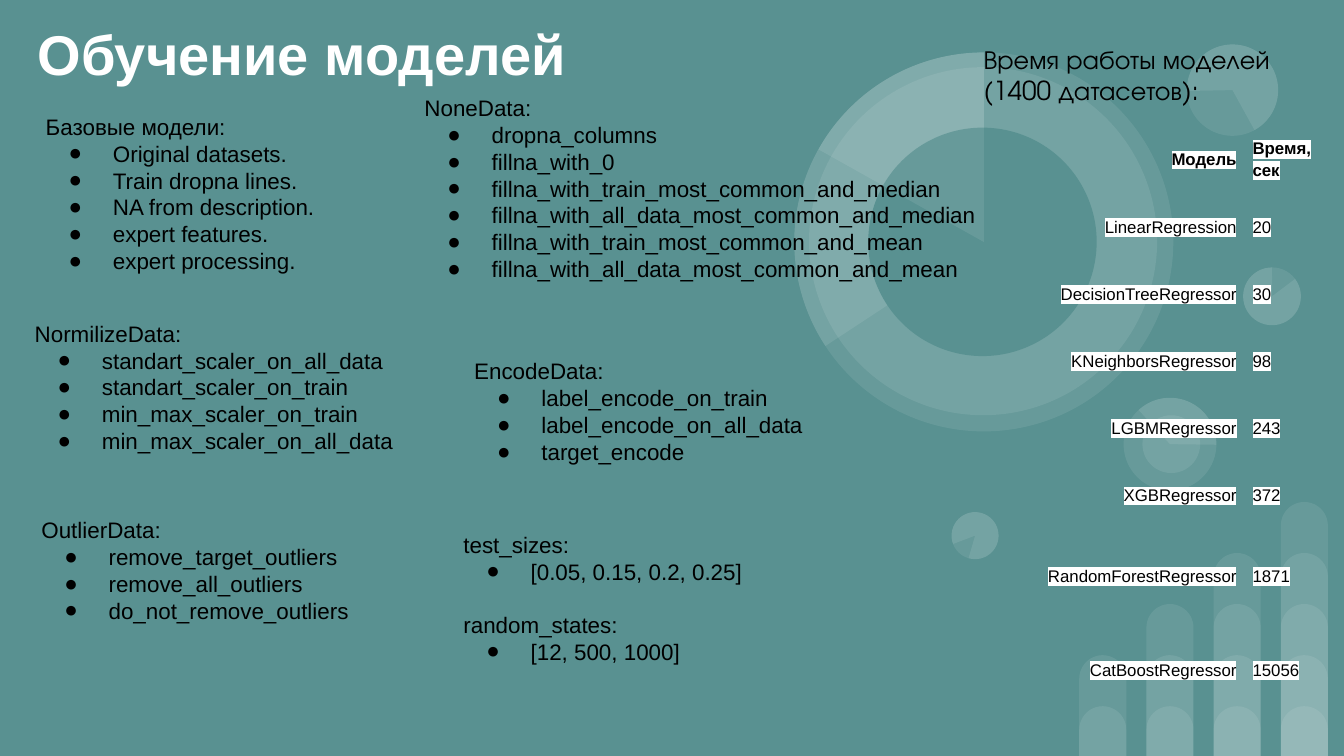
from lxml import etree
from pptx import Presentation
from pptx.dml.color import RGBColor
from pptx.enum.shapes import MSO_SHAPE
from pptx.enum.text import MSO_ANCHOR, MSO_AUTO_SIZE, PP_ALIGN
from pptx.oxml.ns import qn
from pptx.util import Inches, Pt

BAR, OVAL, PIE = MSO_SHAPE.ROUND_2_SAME_RECTANGLE, MSO_SHAPE.OVAL, MSO_SHAPE.PIE
LEFT, RIGHT = PP_ALIGN.LEFT, PP_ALIGN.RIGHT
TOP, MIDDLE = MSO_ANCHOR.TOP, MSO_ANCHOR.MIDDLE
FIXED = MSO_AUTO_SIZE.NONE
NO_STYLE = "{2D5ABB26-0587-4C30-8999-92F81FD0307C}"
TEAL, WHITE, BLACK = "599191", "FFFFFF", "000000"
WIDTH = 10
HEIGHT = WIDTH * 9 / 16


def color(value):
    return RGBColor.from_string(value)


def add_xml(parent, tag, **attributes):
    return etree.SubElement(parent, qn(tag), attributes)


def apply(target, values):
    for name, value in values.items():
        setattr(target, name, value)


class SlideBuilder:
    body = {"size": Pt(12), "bold": False, "name": "Arial"}
    heading = {"size": Pt(30), "bold": True, "name": "Arial"}
    caption = {"size": Pt(14), "bold": False, "name": "TeX Gyre Adventor"}
    cell = {"size": Pt(9), "bold": False, "name": "Arial"}
    flush = {"alignment": LEFT, "space_before": Pt(0), "space_after": Pt(0)}

    def __init__(self, slide):
        self.slide = slide
        slide.background.fill.solid()
        slide.background.fill.fore_color.rgb = color(TEAL)

    def place(self, shape, left, top, width, height):
        apply(shape, {"left": Inches(left), "top": Inches(top),
                      "width": Inches(width), "height": Inches(height)})

    def decoration(self, kind, left, top, width, height, rotation=0,
                   angles=(), fill=WHITE):
        shape = self.slide.shapes.add_shape(
            kind, Inches(left), Inches(top), Inches(width), Inches(height))
        shape.shadow.inherit = False
        shape.line.fill.background()
        shape.rotation = rotation
        for index, angle in enumerate(angles):
            shape.adjustments[index] = angle
        shape.fill.solid()
        shape.fill.fore_color.rgb = color(fill)
        if fill == WHITE:
            tint = shape.fill._xPr.find(qn("a:solidFill"))[0]
            add_xml(tint, "a:alpha", val="9000")

    def span(self, para, text, font, ink=BLACK, highlight=None):
        span = para.add_run()
        span.text = text
        span.font.color.rgb = color(ink)
        if highlight:
            mark = add_xml(span.font._element, "a:highlight")
            add_xml(mark, "a:srgbClr", val=highlight)
        apply(span.font, font)

    def frame(self, shape, anchor=TOP):
        margin = Inches(0.1)
        apply(shape.text_frame, {
            "word_wrap": True, "auto_size": FIXED, "vertical_anchor": anchor,
            "margin_left": margin, "margin_right": margin,
            "margin_top": margin, "margin_bottom": margin})
        return shape.text_frame

    def text(self, shape, area, lines, font, ink=BLACK, anchor=TOP):
        self.place(shape, *area)
        frame = self.frame(shape, anchor)
        for index, line in enumerate(lines):
            para = frame.paragraphs[0] if index == 0 else frame.add_paragraph()
            apply(para, self.flush)
            self.span(para, line, font, ink)

    def text_box(self):
        return self.slide.shapes.add_textbox(0, 0, 0, 0)

    def bullet_lists(self, shape, area, groups):
        """Headings, each followed by its bulleted items."""
        lines = [line for head, items in groups for line in (head, *items)]
        heads = [head for head, _ in groups]
        self.text(shape, area, lines, self.body)
        for index, para in enumerate(shape.text_frame.paragraphs):
            properties = para._p.get_or_add_pPr()
            if para.text in heads:
                properties.set("marL", "0")
                properties.set("indent", "0")
                add_xml(properties, "a:buNone")
                if index:
                    para.space_before = Pt(14)
            else:
                properties.set("marL", str(Inches(0.5)))
                properties.set("indent", str(Inches(-0.33)))
                add_xml(add_xml(properties, "a:buClr"), "a:srgbClr", val=BLACK)
                add_xml(properties, "a:buFont", typeface="Arial")
                add_xml(properties, "a:buChar", char="●")

    def table(self, left, top, widths, heights, rows):
        table = self.slide.shapes.add_table(
            len(rows), len(widths), Inches(left), Inches(top),
            Inches(sum(widths)), Inches(sum(heights))).table
        apply(table, {"first_row": False, "horz_banding": False})
        table._tbl.tblPr.find(qn("a:tableStyleId")).text = NO_STYLE
        for column, width in zip(table.columns, widths):
            column.width = Inches(width)
        margin = Inches(0.06)
        for row_index, (row, height) in enumerate(zip(rows, heights)):
            table.rows[row_index].height = Inches(height)
            for column_index, value in enumerate(row):
                cell = table.cell(row_index, column_index)
                cell.fill.background()
                apply(cell, {"vertical_anchor": MIDDLE,
                             "margin_left": margin, "margin_right": margin,
                             "margin_top": margin, "margin_bottom": margin})
                para = cell.text_frame.paragraphs[0]
                apply(para, {"alignment": LEFT if column_index else RIGHT,
                             "line_spacing": 1.15, "space_before": Pt(9)})
                font = {**self.cell, "bold": row_index == 0}
                self.span(para, value, font, highlight=WHITE)


LISTS = [
    ((0.24, 0.74, 2.77, 1.41), [("Базовые модели:", [
        "Original datasets.", "Train dropna lines.", "NA from description.",
        "expert features.", "expert processing."])]),
    ((3.06, 0.6, 4.35, 1.62), [("NoneData:", [
        "dropna_columns", "fillna_with_0",
        "fillna_with_train_most_common_and_median",
        "fillna_with_all_data_most_common_and_median",
        "fillna_with_train_most_common_and_mean",
        "fillna_with_all_data_most_common_and_mean"])]),
    ((0.16, 2.28, 3.28, 1.21), [("NormilizeData:", [
        "standart_scaler_on_all_data", "standart_scaler_on_train",
        "min_max_scaler_on_train", "min_max_scaler_on_all_data"])]),
    ((3.43, 2.56, 3.28, 1.01), [("EncodeData:", [
        "label_encode_on_train", "label_encode_on_all_data",
        "target_encode"])]),
    ((0.21, 3.74, 3.28, 1.01), [("OutlierData:", [
        "remove_target_outliers", "remove_all_outliers",
        "do_not_remove_outliers"])]),
    ((3.35, 3.85, 3.28, 1.21), [
        ("test_sizes:", ["[0.05, 0.15, 0.2, 0.25]"]),
        ("random_states:", ["[12, 500, 1000]"])]),
]
TIMES = [
    ("Модель", "Время, сек"), ("LinearRegression", "20"),
    ("DecisionTreeRegressor", "30"), ("KNeighborsRegressor", "98"),
    ("LGBMRegressor", "243"), ("XGBRegressor", "372"),
    ("RandomForestRegressor", "1871"), ("CatBoostRegressor", "15056"),
]
# Small discs: left, top, size, rotation, pie angles
DISCS = [
    (9.25, 1.99, 0.43, 0, (193.77, 162)),
    (7.08, 3.81, 0.35, 196.2, (193.77, 162)),
    (8.36, 2.96, 0.69, 90, (82.45, 162.46)),
    (8.83, 0.33, 0.68, 215.9, (193.77, 123.14)),
]


def main():
    deck = Presentation()
    apply(deck, {"slide_width": Inches(WIDTH), "slide_height": Inches(HEIGHT)})
    page = deck.slides.add_slide(deck.slide_layouts[1])
    builder = SlideBuilder(page)

    # Rising stacked bars
    for column in range(4):
        for step in range(column + 2):
            height = 0.37 + 0.38 * step
            builder.decoration(BAR, 8.03 + 0.5 * column, HEIGHT - height,
                               0.35, height, angles=(0.5, 0))

    # Small discs with sectors
    for left, top, size, rotation, angles in DISCS:
        builder.decoration(OVAL, left, top, size, size, rotation)
        builder.decoration(PIE, left, top, size, size, rotation, angles)
    builder.decoration(OVAL, 8.5, 3.09, 0.43, 0.43, 90)

    # Large ring
    ring = (5.91, 0.39, 2.82, 2.82)
    builder.decoration(OVAL, *ring)
    builder.decoration(OVAL, 6.02, 0.5, 2.59, 2.59, 34.1)
    builder.decoration(PIE, *ring, angles=(88.01, 162))
    builder.decoration(OVAL, 6.46, 0.95, 1.7, 1.7, 34.1, fill=TEAL)
    builder.decoration(PIE, *ring, angles=(125.54, 162))

    # Title and run-time table
    builder.text(page.shapes.title, (0.18, -0.42, 9.69, 1.63),
                 ["Обучение моделей"], builder.heading, WHITE, MIDDLE)
    builder.table(7.3, 0.93, [1.96, 0.56], [0.5] * 6 + [0.7] * 2, TIMES)
    builder.text(builder.text_box(), (7.22, 0.22, 2.6, 0.67),
                 ["Время работы моделей", "(1400 датасетов):"], builder.caption)

    # Option lists: the first one fills the body placeholder
    for index, (area, groups) in enumerate(LISTS):
        shape = builder.text_box() if index else page.placeholders[1]
        builder.bullet_lists(shape, area, groups)

    deck.save("out.pptx")


if __name__ == "__main__":
    main()
